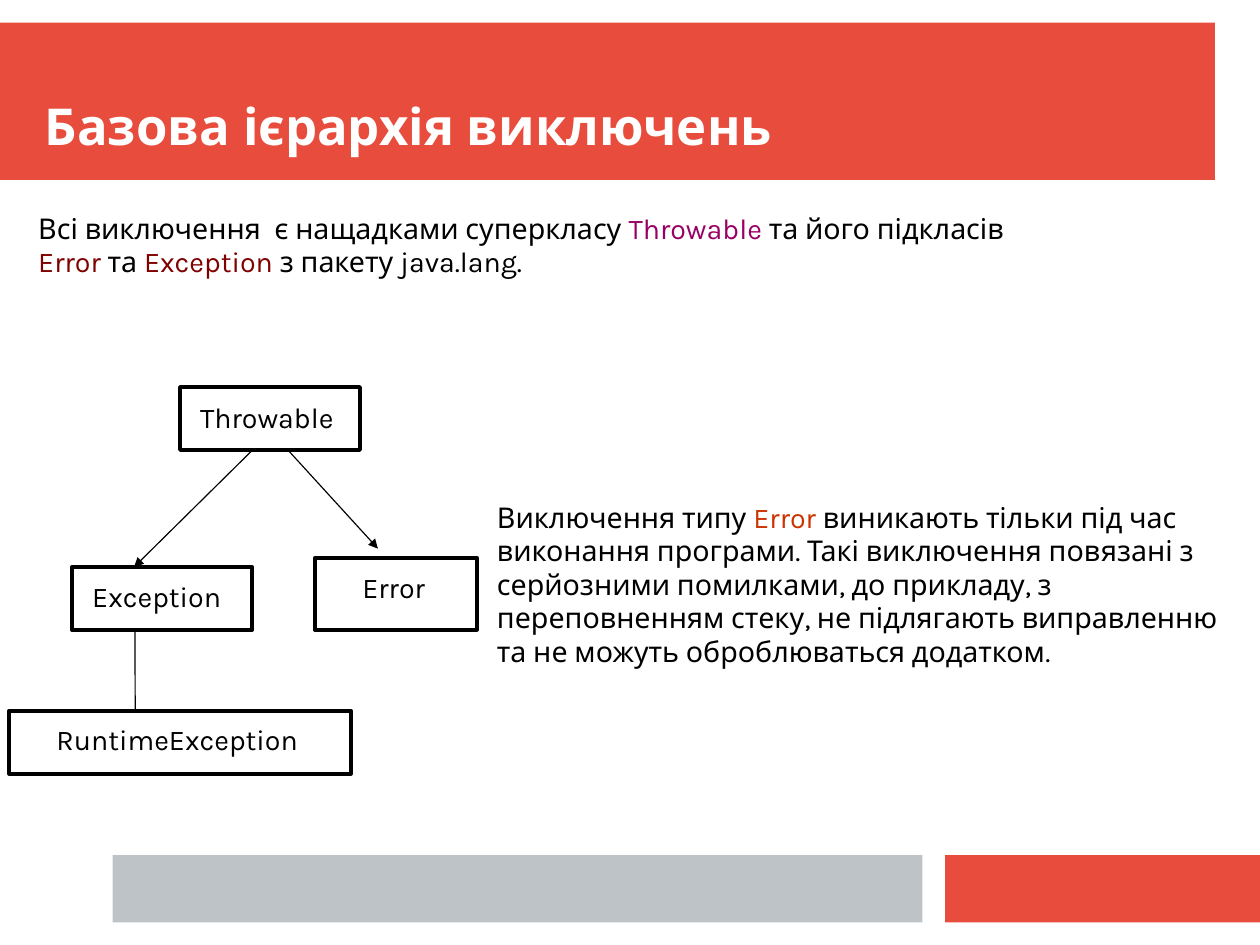
from pptx import Presentation
from pptx.dml.color import RGBColor
from pptx.enum.shapes import MSO_CONNECTOR as Connector, MSO_SHAPE as Preset
from pptx.enum.text import MSO_ANCHOR as Anchor, MSO_AUTO_SIZE as AutoSize, PP_ALIGN as Align
from pptx.oxml.ns import qn
from pptx.util import Pt
from lxml.etree import SubElement

RED, GRAY, BLACK, WHITE = "E74C3C", "BDC3C7", "000000", "FFFFFF"


def color(value):
    return RGBColor.from_string(value)


def write(frame, runs, size=18, bold=False):
    paragraph = frame.paragraphs[0]
    paragraph.alignment = Align.LEFT
    paragraph.line_spacing = 0.98
    for text, ink in runs:
        run = paragraph.add_run()
        run.text = text
        run.font.name = "Karla"
        run.font.size = Pt(size)
        run.font.bold = bold
        run.font.color.rgb = color(ink)


prs = Presentation()
prs.slide_width, prs.slide_height = Pt(793.7), Pt(595.28)
slide = prs.slides.add_slide(prs.slide_layouts[5])
shapes = slide.shapes

for left, top, width, height, fill in [
    (0, 14.2, 765.4, 99.2, RED),
    (595.3, 538.6, 198.4, 42.5, RED),
    (70.9, 538.6, 510.2, 42.5, GRAY),
]:
    band = shapes.add_shape(Preset.RECTANGLE, Pt(left), Pt(top), Pt(width), Pt(height))
    band.shadow.inherit = False
    band.fill.solid()
    band.fill.fore_color.rgb = color(fill)
    band.line.fill.background()

title = shapes.title
title.element.getparent().append(title.element)
title.left, title.top, title.width, title.height = Pt(28.3), Pt(28.8), Pt(737), Pt(70.6)
heading = title.text_frame
heading.auto_size = AutoSize.NONE
heading.word_wrap = True
heading.vertical_anchor = Anchor.BOTTOM
heading.margin_left = heading.margin_right = heading.margin_bottom = 0
heading.margin_top = Pt(0.7)
write(heading, [("Базова ієрархія виключень", WHITE)], 32, True)

for left, top, width, height, runs in [
    (17, 130.3, 656.6, 85, [
        ("Всі виключення  є нащадками суперкласу ", BLACK),
        ("Throwable", "990066"),
        (" та його підкласів ", BLACK),
        ("Error", "800000"),
        (" та ", BLACK),
        ("Exception ", "800000"),
        ("з пакету java.lang.", BLACK),
    ]),
    (306, 312.2, 470.9, 198, [
        ("Виключення типу ", BLACK),
        ("Error", "CC3300"),
        (" виникають тільки під час виконання програми. Такі виключення повязані з "
         "серйозними помилками, до прикладу, з переповненням стеку, не підлягають "
         "виправленню та не можуть оброблюваться додатком.", BLACK),
    ]),
]:
    passage = shapes.add_textbox(Pt(left), Pt(top), Pt(width), Pt(height))
    passage.text_frame.word_wrap = True
    write(passage.text_frame, runs)

for x1, y1, x2, y2, has_head in [
    (159.1, 283.5, 84.5, 357.2, True),
    (181.4, 283.5, 238.1, 345.6, True),
    (85, 396.9, 85.2, 447.9, False),
]:
    link = shapes.add_connector(Connector.STRAIGHT, Pt(x1), Pt(y1), Pt(x2), Pt(y2))
    link.line.color.rgb = color(BLACK)
    link.line.width = Pt(0.75)
    properties = link.element.spPr
    if has_head:
        SubElement(properties.find(qn("a:ln")), qn("a:tailEnd"), type="triangle")
    SubElement(properties, qn("a:effectLst"))

for class_name, left, top, width, height, indent, drop in [
    ("Throwable", 113.4, 243.8, 113.4, 39.7, 12.6, 9.1),
    ("Exception", 45.4, 357.2, 113.4, 39.7, 12.7, 8.6),
    ("RuntimeException", 5.7, 447.7, 215.4, 39.7, 29.8, 8.1),
    ("Error", 198.4, 351.4, 102, 45.4, 29.9, 8.6),
]:
    node = shapes.add_shape(Preset.RECTANGLE, Pt(left), Pt(top), Pt(width), Pt(height))
    node.shadow.inherit = False
    node.fill.solid()
    node.fill.fore_color.rgb = color(WHITE)
    node.line.color.rgb = color(BLACK)
    node.line.width = Pt(2.3)
    label = node.text_frame
    label.vertical_anchor = Anchor.TOP
    label.margin_left, label.margin_top = Pt(indent), Pt(drop)
    label.margin_right = label.margin_bottom = 0
    write(label, [(class_name, BLACK)])

prs.save("out.pptx")
